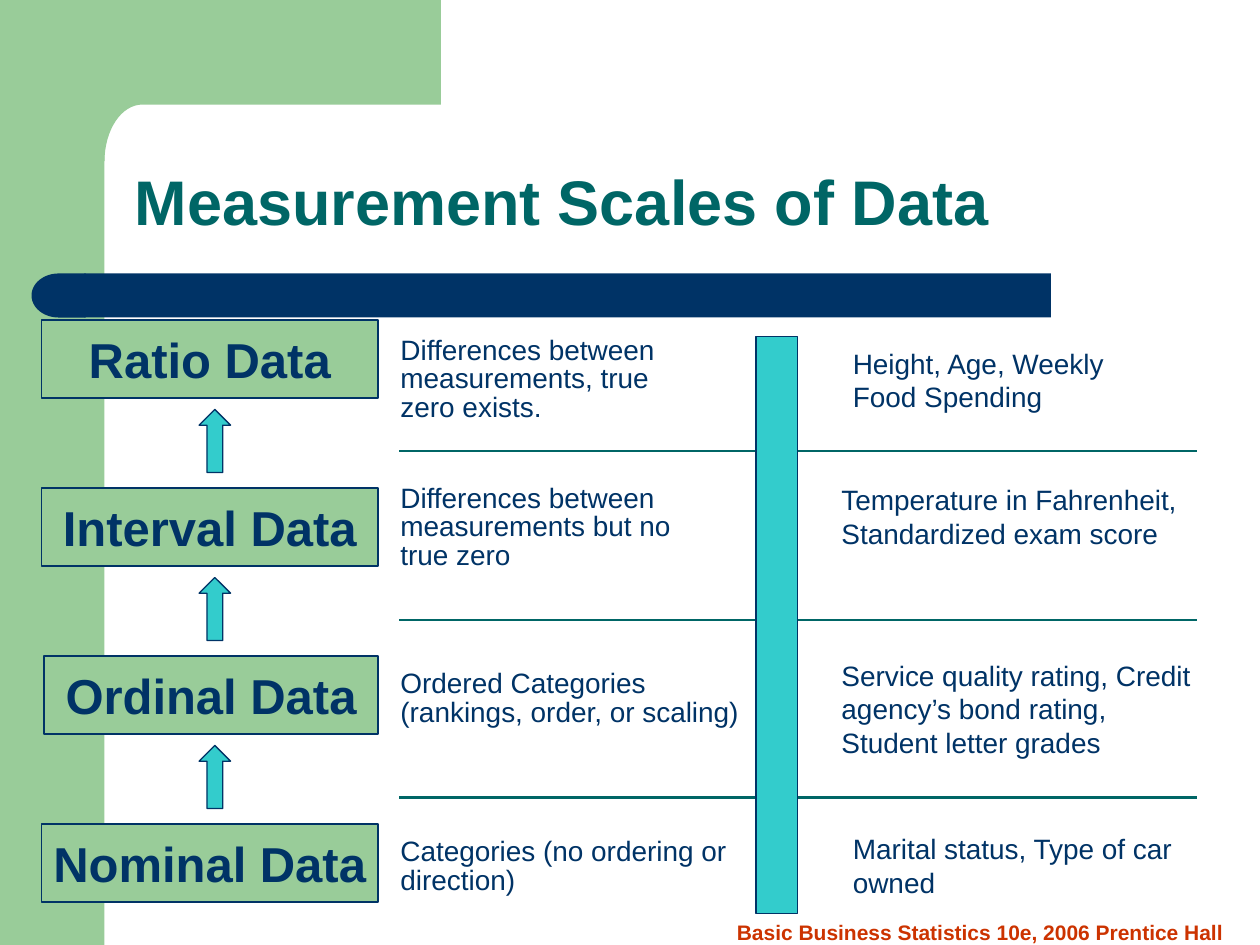
from math import cos, pi, sin

from pptx import Presentation
from pptx.dml.color import RGBColor
from pptx.enum.shapes import MSO_CONNECTOR, MSO_SHAPE
from pptx.enum.text import MSO_ANCHOR, PP_ALIGN
from pptx.oxml.ns import qn
from pptx.util import Inches, Pt

RECT = MSO_SHAPE.RECTANGLE
DELAY = MSO_SHAPE.FLOWCHART_DELAY
UP_ARROW = MSO_SHAPE.UP_ARROW
STRAIGHT = MSO_CONNECTOR.STRAIGHT
TOP, MIDDLE, BOTTOM = MSO_ANCHOR.TOP, MSO_ANCHOR.MIDDLE, MSO_ANCHOR.BOTTOM
LEFT, CENTER = PP_ALIGN.LEFT, PP_ALIGN.CENTER

GREEN = RGBColor(0x99, 0xCC, 0x99)
NAVY = RGBColor(0x00, 0x33, 0x66)
TEAL = RGBColor(0x00, 0x66, 0x66)
CYAN = RGBColor(0x33, 0xCC, 0xCC)
RUST = RGBColor(0xCC, 0x33, 0x00)

SCALES = ["Ratio Data", "Interval Data", "Ordinal Data", "Nominal Data"]
DEFINITIONS = [
    ("Differences between measurements, true zero exists.", 0.09, 2.58, 0.78),
    ("Differences between measurements but no true zero", -0.07, 2.67, 0.78),
    ("Ordered Categories (rankings, order, or scaling)", 0.07, 2.92, 0.56),
    ("Categories (no ordering or direction)", 0.07, 2.83, 0.56),
]
EXAMPLES = [
    ("Height, Age, Weekly Food Spending", 0.09, 0.16, 2.5, 0.64),
    ("Temperature in Fahrenheit, Standardized exam score", 0, -0.09, 3.08, 0.64),
    ("Service quality rating, Credit agency’s bond rating, Student letter grades",
     0, -0.03, 3.08, 0.9),
    ("Marital status, Type of car owned", 0.09, 0.01, 2.75, 0.64),
]
ROW_PITCH = 4 / 3


def inches(*values):
    return [Inches(v) for v in values]


def write(sp, text, size=16, color=NAVY, bold=False, align=LEFT, anchor=TOP,
          spacing=1.0, wrap=True):
    tf = sp.text_frame
    tf.word_wrap = wrap
    tf.vertical_anchor = anchor
    p = tf.paragraphs[0]
    p.alignment = align
    p.line_spacing = spacing
    r = p.add_run()
    r.text = text
    r.font.name = "Arial"
    r.font.size = Pt(size)
    r.font.bold = bold
    r.font.color.rgb = color


def add_text(s, box, text, **fmt):
    write(s.shapes.add_textbox(*inches(*box)), text, **fmt)


def paint(sp, fill, width=None):
    sp.shadow.inherit = False
    sp.fill.solid()
    sp.fill.fore_color.rgb = fill
    if width is None:
        sp.line.fill.background()
    else:
        sp.line.color.rgb = NAVY
        sp.line.width = Pt(width)


def add_block(s, kind, box, fill, width=None):
    sp = s.shapes.add_shape(kind, *inches(*box))
    paint(sp, fill, width)
    return sp


def add_rule(s, x1, x2, y):
    line = s.shapes.add_connector(STRAIGHT, *inches(x1, y, x2, y))
    line.line.color.rgb = TEAL
    line.line.width = Pt(1.5)
    sp_pr = line._element.spPr
    sp_pr.append(sp_pr.makeelement(qn("a:effectLst"), {}))


def add_corner(s, x, y, w, h):
    rx, ry, steps = 0.3, 0.45, 16
    inner_x, inner_y = x + 0.33, y + 0.83
    angles = [pi / 2 * i / steps for i in range(steps + 1)]
    curve = [(inner_x + rx * (1 - sin(a)), inner_y + ry * (1 - cos(a)))
             for a in angles]
    points = [(x + w, y), (x + w, inner_y), *curve, (x, y + h)]
    builder = s.shapes.build_freeform(*inches(x, y), scale=1.0)
    builder.add_line_segments([inches(*pt) for pt in points], close=True)
    paint(builder.convert_to_shape(), GREEN)


def add_frame(s, x, y, w, h):
    add_block(s, RECT, (x, y, 0.83, h), GREEN)
    add_corner(s, x + 0.5, y, 3, 1.28)
    add_block(s, RECT, (x + 0.67, y + 2.17, 7.67, 0.35), NAVY)
    cap = add_block(s, DELAY, (x + 0.25, y + 2.17, 0.43, 0.35), NAVY)
    cap.rotation = 180


def add_scales(s, x, y, w, h):
    for i, name in enumerate(SCALES):
        top = y + i * ROW_PITCH
        inset = 0.02 if name == "Ordinal Data" else 0
        sp = add_block(s, RECT, (x + inset, top, w - inset, h), GREEN, 1)
        write(sp, name, size=28, bold=True, align=CENTER, anchor=MIDDLE, wrap=False)
        if i < len(SCALES) - 1:
            add_block(s, UP_ARROW, (x + 1.25, top + 0.71, 0.25, 0.5), CYAN, 0.75)


def add_definitions(s, x, y):
    for i, (text, dy, w, h) in enumerate(DEFINITIONS):
        add_text(s, (x, y + i * ROW_PITCH + dy, w, h), text, spacing=0.85)


def add_examples(s, x, y):
    for i, (text, dx, dy, w, h) in enumerate(EXAMPLES):
        add_text(s, (x + dx, y + i * ROW_PITCH + dy, w, h), text)


def add_dividers(s, x, y, w, h):
    for dy in (0.91, 2.25, 3.66):
        add_rule(s, x, x + w, y + dy)
    add_block(s, RECT, (x + 2.83, y, 0.33, h), CYAN, 0.75)


def main():
    prs = Presentation()
    prs.slide_width, prs.slide_height = inches(10, 7.5)
    s = prs.slides.add_slide(prs.slide_layouts[6])
    add_frame(s, 0, 0, 10, 7.5)
    add_text(s, (0.97, 1.12, 8.48, 0.83), "Measurement Scales of Data", size=36,
             color=TEAL, bold=True, anchor=BOTTOM, spacing=0.9)
    add_scales(s, 0.33, 2.54, 2.67, 0.62)
    add_definitions(s, 3.08, 2.54)
    add_examples(s, 6.58, 2.54)
    add_dividers(s, 3.17, 2.67, 6.33, 4.58)
    add_text(s, (5.75, 7.25, 4.17, 0.3),
             "Basic Business Statistics 10e, 2006 Prentice Hall",
             size=12, color=RUST, bold=True)
    prs.save("out.pptx")


if __name__ == "__main__":
    main()
